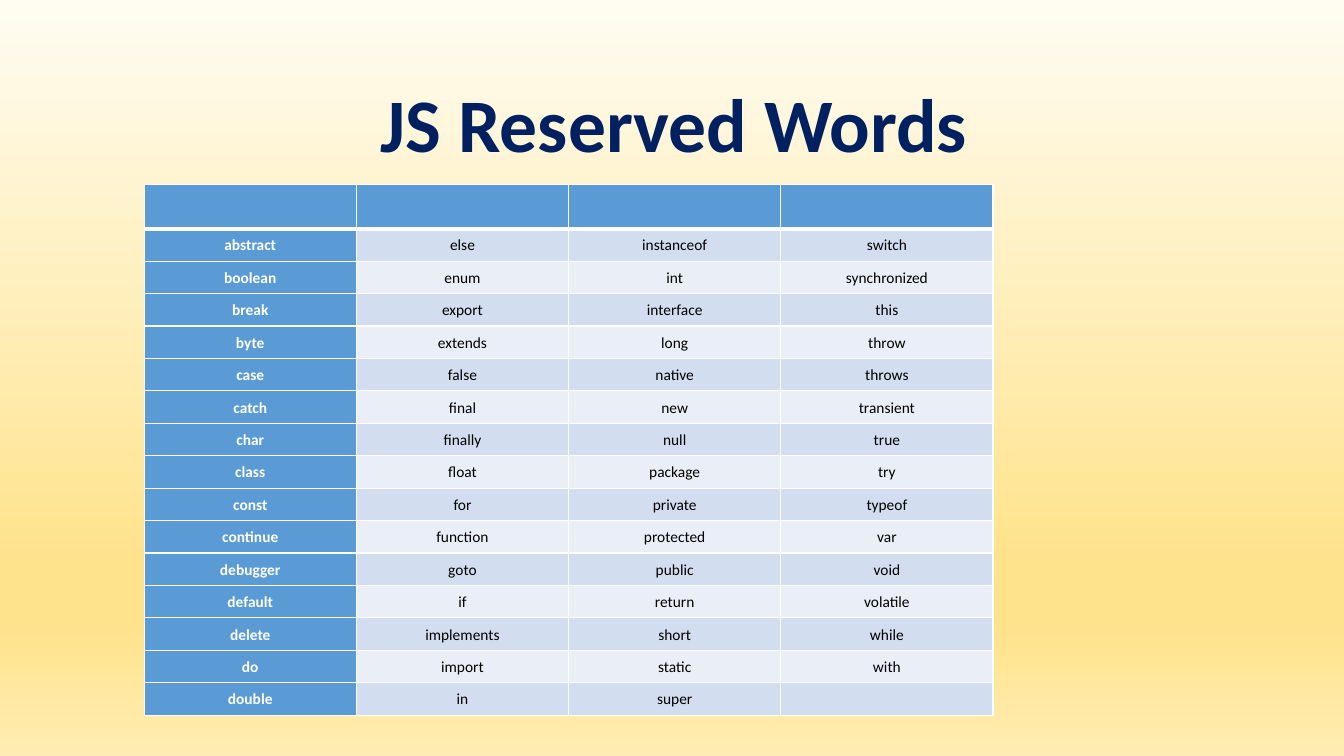
import copy
import lxml.etree
import pptx
import pptx.dml.color
import pptx.enum.text
import pptx.oxml.ns
import pptx.util

theme = {
    "font": "Calibri", "title": 54, "body": 11,
    "navy": "002060", "blue": "5B9BD5", "white": "FFFFFF", "black": "000000",
    "bands": ("D2DEEF", "EAEFF7"),
    "sky": ((0, "FFFCF2"), (0.74, "FFE38C"), (0.83, "FFE38C"), (1, "FFECB2")),
}
words = """
abstract else instanceof switch
boolean enum int synchronized
break export interface this
byte extends long throw
case false native throws
catch final new transient
char finally null true
class float package try
const for private typeof
continue function protected var
debugger goto public void
default if return volatile
delete implements short while
do import static with
double in super
"""
rows = [[]] + [line.split() for line in words.strip().splitlines()]
inch = pptx.util.Inches
rgb = pptx.dml.color.RGBColor.from_string
qn = pptx.oxml.ns.qn


def style(par, size, color, bold):
    par.alignment = pptx.enum.text.PP_ALIGN.CENTER
    par.font.name = theme["font"]
    par.font.size = pptx.util.Pt(size)
    par.font.color.rgb = rgb(color)
    par.font.bold = bold


def edge(cell, side, width):
    props = cell._tc.get_or_add_tcPr()
    line = lxml.etree.SubElement(props, qn("a:ln" + side), w=str(pptx.util.Pt(width)))
    fill = lxml.etree.SubElement(line, qn("a:solidFill"))
    lxml.etree.SubElement(fill, qn("a:srgbClr"), val=theme["white"])


deck = pptx.Presentation()
deck.slide_width = inch(13.33)
deck.slide_height = inch(7.5)
slide = deck.slides.add_slide(deck.slide_layouts[5])

fill = slide.background.fill
fill.gradient()
fill.gradient_angle = 270
stops = fill.gradient_stops
first = stops[0]._gs
for _ in range(len(theme["sky"]) - len(stops)):
    first.addnext(copy.deepcopy(first))
for stop, (place, color) in zip(fill.gradient_stops, theme["sky"]):
    stop.position = place
    stop.color.rgb = rgb(color)

title = slide.shapes.title
title.left, title.top = inch(0.34), inch(0.91)
title.width, title.height = inch(12.69), inch(0.82)
frame = title.text_frame
frame.text = "JS Reserved Words"
frame.auto_size = pptx.enum.text.MSO_AUTO_SIZE.NONE
frame.vertical_anchor = pptx.enum.text.MSO_ANCHOR.BOTTOM
frame.paragraphs[0].line_spacing = 0.9
style(frame.paragraphs[0], theme["title"], theme["navy"], True)

holder = slide.shapes.add_table(
    len(rows), 4, inch(1.43), inch(1.83), inch(8.42), inch(5.33))
table = holder.table
for r, row in enumerate(rows):
    table.rows[r].height = inch(0.3 if r else 0.44)
    for c in range(4):
        cell = table.cell(r, c)
        head = r == 0 or c == 0
        for side in "LRTB":
            thick = (r == 0 and side == "B") or (r == 1 and side == "T")
            edge(cell, side, 3 if thick else 1)
        cell.fill.solid()
        cell.fill.fore_color.rgb = rgb(theme["blue"] if head else theme["bands"][(r - 1) % 2])
        if c < len(row):
            cell.text = row[c]
            cell.margin_left = cell.margin_right = inch(0.06)
            cell.margin_top = cell.margin_bottom = inch(0.06)
        par = cell.text_frame.paragraphs[0]
        style(par, theme["body"], theme["white" if head else "black"], head)
        if c < len(row):
            par.line_spacing = 1.07
            par.space_after = pptx.util.Pt(15)
holder.height = inch(5.33)

deck.save("out.pptx")
